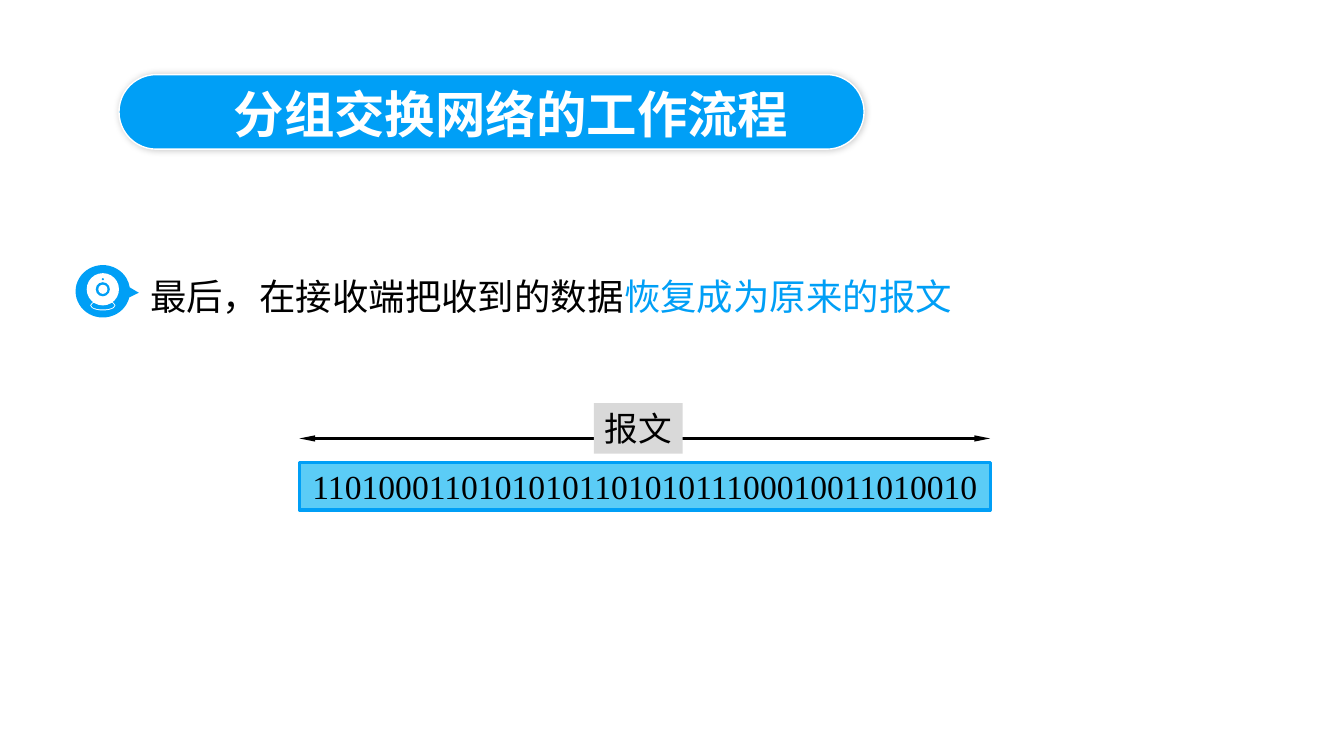
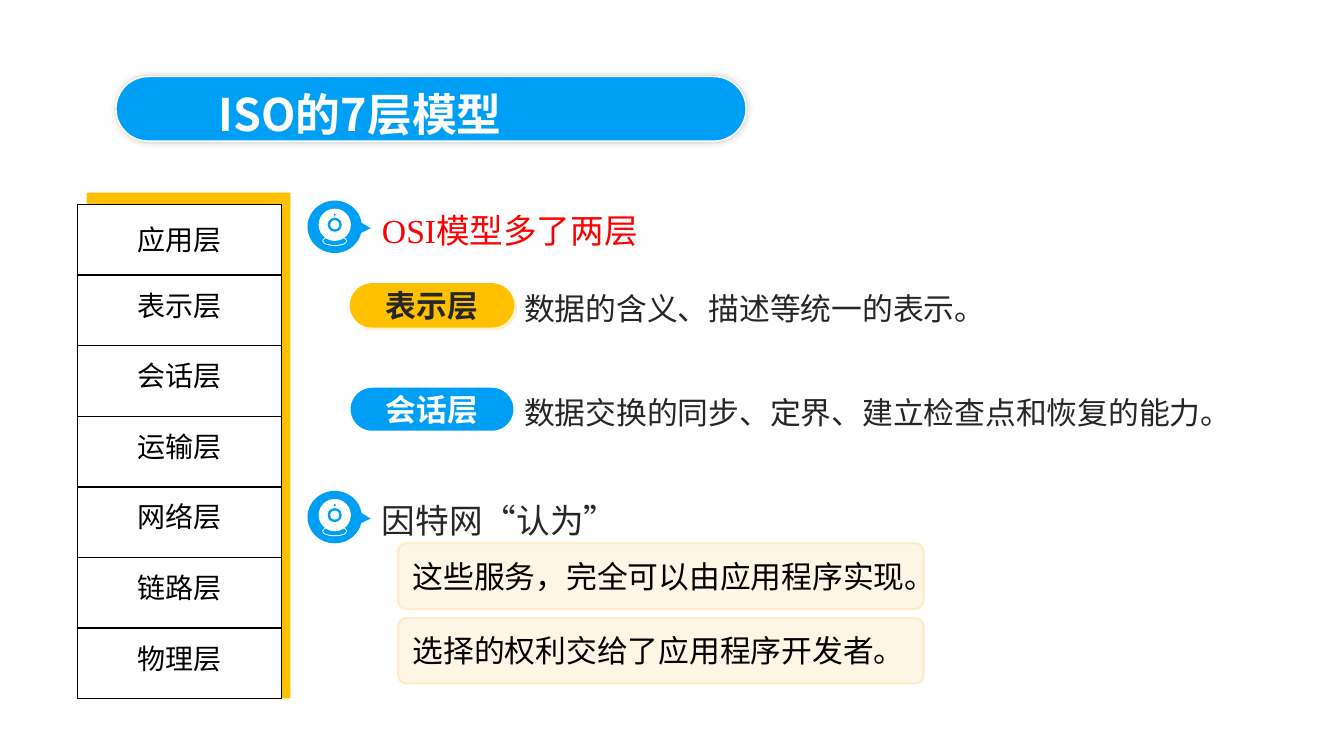
from dataclasses import dataclass

from lxml.etree import SubElement
from pptx import Presentation
from pptx.dml.color import RGBColor
from pptx.enum.lang import MSO_LANGUAGE_ID as Language
from pptx.enum.shapes import MSO_CONNECTOR as Connector, MSO_SHAPE as Shape
from pptx.enum.text import MSO_ANCHOR as Anchor, PP_ALIGN as Align
from pptx.oxml.ns import qn
from pptx.util import Inches, Pt


@dataclass(frozen=True)
class Theme:
    blue: str = "009FF6"
    sky: str = "5BCCF6"
    amber: str = "FFC000"
    pale_amber: str = "FFF2CC"
    cream: str = "FEF6E5"
    cream_edge: str = "FDECC7"
    gray: str = "D9D9D9"
    red: str = "FF0000"
    ink: str = "262626"
    black: str = "000000"
    white: str = "FFFFFF"
    sans: str = "Noto Sans CJK SC"
    title_font: str = "Noto Sans CJK JP"
    serif: str = "Times New Roman"
    long_title_size: int = 36
    short_title_size: int = 32
    lead_size: int = 26
    message_size: int = 24
    body_size: int = 22
    layer_size: int = 20


THEME = Theme()


def write_text(shape, text, *, size, color=THEME.black, font=THEME.sans, bold=False,
               align=Align.LEFT, anchor=Anchor.TOP, spacing=None, margins=(0.1, 0.05, 0.1, 0.05)):
    """Fill a shape with one paragraph; text is a string or a list of (string, colour)."""
    frame = shape.text_frame
    frame.word_wrap = True
    frame.vertical_anchor = anchor
    (frame.margin_left, frame.margin_top,
     frame.margin_right, frame.margin_bottom) = map(Inches, margins)
    paragraph = frame.paragraphs[0]
    paragraph.alignment = align
    if spacing:
        paragraph.line_spacing = spacing
    for words, run_color in [(text, color)] if isinstance(text, str) else text:
        run = paragraph.add_run()
        run.text = words
        run.font.size = Pt(size)
        run.font.bold = bold
        run.font.name = font
        run.font.language_id = Language.SIMPLIFIED_CHINESE
        run.font.color.rgb = RGBColor.from_string(run_color)
        east_asian = THEME.sans if font == THEME.serif else font
        SubElement(run.font._element, qn("a:ea"), typeface=east_asian)


class Deck:
    def __init__(self):
        self.presentation = Presentation()
        self.presentation.slide_width = Inches(13.33)
        self.presentation.slide_height = Inches(7.5)
        self.slide = None

    def new_slide(self):
        self.slide = self.presentation.slides.add_slide(self.presentation.slide_layouts[6])

    def shape(self, kind, left, top, width, height, fill, line=None, line_width=1, round_by=None):
        shape = self.slide.shapes.add_shape(kind, *map(Inches, (left, top, width, height)))
        shape.shadow.inherit = False
        shape.fill.solid()
        shape.fill.fore_color.rgb = RGBColor.from_string(fill)
        if line:
            shape.line.color.rgb = RGBColor.from_string(line)
            shape.line.width = Pt(line_width)
        else:
            shape.line.fill.background()
        if round_by is not None:
            shape.adjustments[0] = round_by
        return shape

    def text(self, left, top, width, height, text, **style):
        box = self.slide.shapes.add_textbox(*map(Inches, (left, top, width, height)))
        write_text(box, text, **style)

    def shadow(self, shape, color, alpha, blur=0, distance=0, angle=0):
        effects = shape._element.spPr.find(qn("a:effectLst"))
        outer = SubElement(effects, qn("a:outerShdw"), blurRad=str(Pt(blur)),
                           dist=str(Pt(distance)), dir=str(angle * 60000), rotWithShape="0")
        tint = SubElement(outer, qn("a:srgbClr"), val=color)
        SubElement(tint, qn("a:alpha"), val=str(alpha * 1000))

    def title(self, pill, text_area, text, size):
        shape = self.shape(Shape.ROUNDED_RECTANGLE, *pill, THEME.blue, THEME.white, round_by=0.5)
        self.shadow(shape, THEME.black, 20, blur=5)
        self.text(*text_area, text, size=size, color=THEME.white, font=THEME.title_font, bold=True)

    def double_arrow(self, left, right, y):
        arrow = self.slide.shapes.add_connector(
            Connector.STRAIGHT, *map(Inches, (left, y, right, y)))
        arrow.line.color.rgb = RGBColor.from_string(THEME.black)
        arrow.line.width = Pt(2.25)
        for end in ("a:headEnd", "a:tailEnd"):
            SubElement(arrow.line._get_or_add_ln(), qn(end), type="triangle", w="sm", len="lg")
        SubElement(arrow._element.spPr, qn("a:effectLst"))

    def webcam_bullet(self, left, top):
        """Draw a speech bubble holding a webcam made of concentric ovals."""
        bubble = self.shape(Shape.OVAL_CALLOUT, left, top, 0.54, 0.52, THEME.blue)
        bubble.adjustments[0], bubble.adjustments[1] = 0.661, 0.028
        center = left + 0.27
        for middle, width, height, color in (
            (0.4, 0.25, 0.1, THEME.white),     # stand
            (0.4, 0.23, 0.08, THEME.blue),
            (0.24, 0.32, 0.32, THEME.white),   # head
            (0.24, 0.14, 0.14, THEME.blue),    # lens
            (0.24, 0.09, 0.09, THEME.white),
            (0.14, 0.02, 0.02, THEME.blue),    # light
        ):
            self.shape(Shape.OVAL, center - width / 2, top + middle - height / 2,
                       width, height, color)

    def point(self, left, top, width, text, size, color=THEME.black):
        self.webcam_bullet(left, top)
        self.text(left + 0.64, top, width, 0.52, text, size=size, color=color,
                  font=THEME.serif, spacing=1.1)

    def chip(self, top, name, description, fill, color, line=None):
        """Draw a named capsule with its description; return the capsule."""
        capsule = self.shape(Shape.ROUNDED_RECTANGLE, 3.47, top, 1.63, 0.44, fill, line,
                             round_by=0.5)
        write_text(capsule, name, size=THEME.body_size, color=color, bold=True,
                   align=Align.CENTER, anchor=Anchor.MIDDLE, margins=(0, 0, 0, 0))
        self.text(5.1, top - 0.06, 7.42, 0.55, description, size=THEME.body_size,
                  color=THEME.ink, font=THEME.serif, spacing=1.2)
        return capsule

    def note(self, top, text):
        card = self.shape(Shape.ROUNDED_RECTANGLE, 3.95, top, 5.21, 0.65, THEME.cream,
                          THEME.cream_edge, 1.5, round_by=0.124)
        write_text(card, text, size=THEME.body_size, anchor=Anchor.MIDDLE,
                   margins=(0.12, 0, 0.06, 0))

    def layer_stack(self, left, top, names):
        width, height = 2.02, 0.7
        self.shape(Shape.RECTANGLE, left + 0.09, top - 0.12,
                   width, height * len(names) + 0.12, THEME.amber)
        for row, name in enumerate(names):
            cell = self.shape(Shape.RECTANGLE, left, top + row * height, width, height,
                              THEME.white, THEME.black)
            write_text(cell, name, size=THEME.layer_size, align=Align.CENTER,
                       margins=(0, 0.13 if row else 0.18, 0, 0))


def build_packet_slide(deck):
    deck.new_slide()
    deck.title((1.18, 0.74, 7.39, 0.74), (2.22, 0.78, 6.36, 0.71), "分组交换网络的工作流程",
               THEME.long_title_size)
    deck.point(0.75, 2.63, 8.84, [("最后，在接收端把收到的数据", THEME.black),
                                  ("恢复成为原来的报文", THEME.blue)], THEME.lead_size)
    left, width = 2.97, 6.85
    centered = dict(size=THEME.message_size, align=Align.CENTER, anchor=Anchor.MIDDLE,
                    margins=(0, 0, 0, 0))
    deck.double_arrow(left, left + width, 4.35)
    label = deck.shape(Shape.RECTANGLE, 5.89, 4, 0.88, 0.5, THEME.gray)
    write_text(label, "报文", **centered)
    message = deck.shape(Shape.RECTANGLE, left, 4.59, width, 0.47, THEME.sky, THEME.blue, 2.25)
    write_text(message, "1101000110101010110101011100010011010010", font=THEME.serif, **centered)


def build_osi_slide(deck):
    deck.new_slide()
    deck.title((1.15, 0.76, 6.25, 0.64), (2.07, 0.81, 5.04, 0.64), "ISO的7层模型",
               THEME.short_title_size)
    deck.layer_stack(0.77, 2.03, ["应用层", "表示层", "会话层", "运输层",
                                  "网络层", "链路层", "物理层"])
    deck.point(3.05, 1.99, 4.48, "OSI模型多了两层", THEME.message_size, THEME.red)
    capsule = deck.chip(2.81, "表示层", "数据的含义、描述等统一的表示。", THEME.amber, THEME.ink)
    deck.shadow(capsule, THEME.pale_amber, 100, distance=2.8, angle=45)
    deck.chip(3.84, "会话层", "数据交换的同步、定界、建立检查点和恢复的能力。",
              THEME.blue, THEME.white, THEME.white)
    deck.point(3.05, 4.87, 4.48, "因特网“认为”", THEME.message_size, THEME.ink)
    deck.note(5.39, "这些服务，完全可以由应用程序实现。")
    deck.note(6.13, "选择的权利交给了应用程序开发者。")


def main():
    deck = Deck()
    build_packet_slide(deck)
    build_osi_slide(deck)
    deck.presentation.save("out.pptx")


if __name__ == "__main__":
    main()
